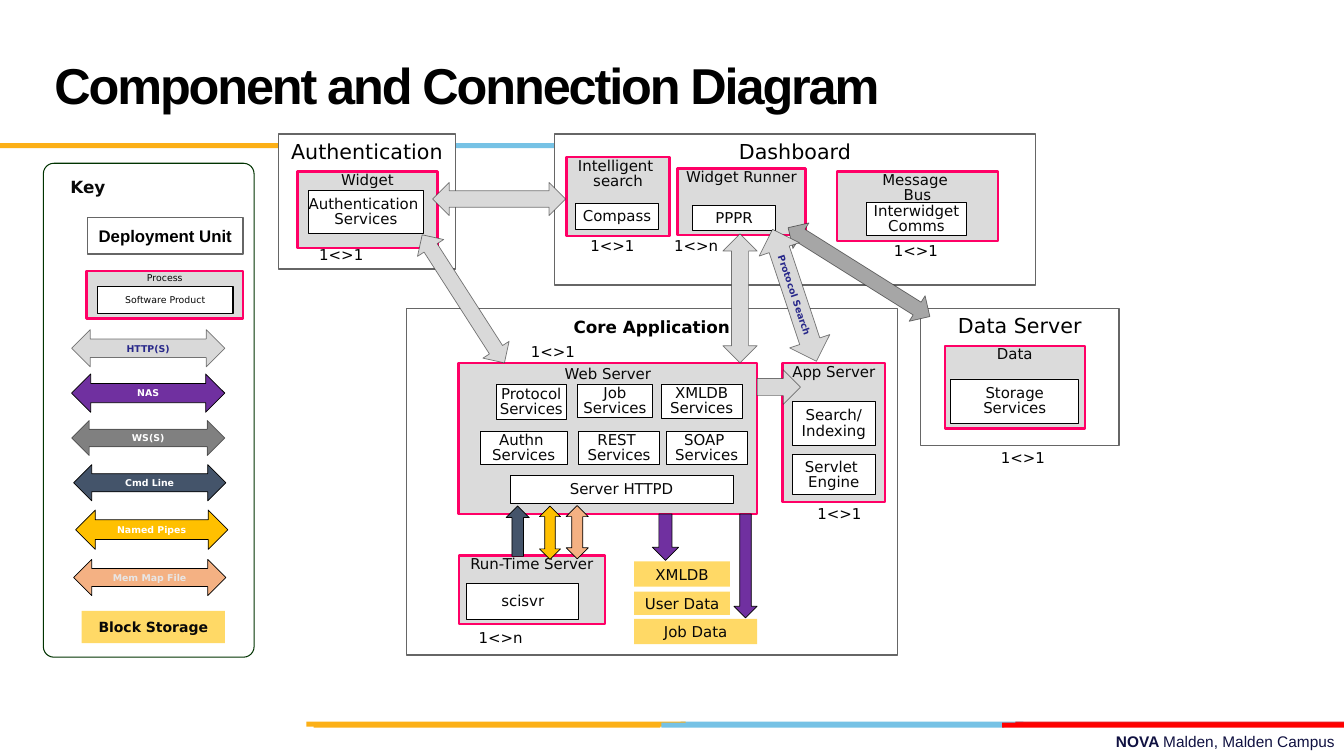
from lxml import etree
from pptx import Presentation
from pptx.dml.color import RGBColor
from pptx.enum.shapes import MSO_SHAPE
from pptx.enum.text import MSO_ANCHOR, PP_ALIGN
from pptx.oxml.ns import qn
from pptx.util import Cm, Pt

RECTANGLE = MSO_SHAPE.RECTANGLE
ROUNDED = MSO_SHAPE.ROUNDED_RECTANGLE
BOTH, DOWN = MSO_SHAPE.LEFT_RIGHT_ARROW, MSO_SHAPE.DOWN_ARROW
UP, RIGHT = MSO_SHAPE.UP_ARROW, MSO_SHAPE.RIGHT_ARROW
TOP, MIDDLE = MSO_ANCHOR.TOP, MSO_ANCHOR.MIDDLE
LEFT_ALIGN, CENTER, RIGHT_ALIGN = PP_ALIGN.LEFT, PP_ALIGN.CENTER, PP_ALIGN.RIGHT

HTTP, NAS, WEB_SERVICE, WEB_SERVICE_LINK = "D9D9D9", "7030A0", "808080", "A6A6A6"
COMMAND, PIPE, MEMORY_MAP = "44546A", "FFC000", "F4B183"
TRANSLUCENT_EDGES = (HTTP, WEB_SERVICE, WEB_SERVICE_LINK)
YELLOW, BLUE, RED = "FCB017", "76C2E5", "FF0000"
BLACK, INK, WHITE, NAVY = "000000", "080808", "FFFFFF", "28288A"


def color(value):
    return RGBColor.from_string(value)


def inches(value):
    return Cm(value * 2.54)


class Diagram:
    """Holds the style and the slide; every box is (left, top, width, height) in inches."""

    font = "DejaVu Sans"
    body_size = 10.7
    small_size = 6.7
    default_insets = (0.1, 0.05, 0.1, 0.05)

    def __init__(self, slide):
        self.slide = slide

    def label(self, shape, text, size, ink=INK, bold=False, align=CENTER, anchor=TOP,
              insets=default_insets, wrap=True, spacing=None, font=None):
        frame = shape.text_frame
        frame.text = text
        frame.word_wrap = wrap
        frame.vertical_anchor = anchor
        (frame.margin_left, frame.margin_top,
         frame.margin_right, frame.margin_bottom) = map(inches, insets)
        for paragraph in frame.paragraphs:
            paragraph.alignment = align
            if spacing:
                paragraph.line_spacing = spacing
            paragraph.font.name = font or self.font
            paragraph.font.size = Pt(size)
            paragraph.font.bold = bold
            paragraph.font.color.rgb = color(ink)
        return frame

    def shape(self, kind, box, fill=None, line=None, width=1.0):
        shape = self.slide.shapes.add_shape(kind, *map(inches, box))
        shape.shadow.inherit = False
        if fill:
            shape.fill.solid()
            shape.fill.fore_color.rgb = color(fill)
        else:
            shape.fill.background()
        if line:
            shape.line.color.rgb = color(line)
            shape.line.width = Pt(width)
        else:
            shape.line.fill.background()
        return shape

    def text(self, box, text, size, **style):
        return self.label(self.slide.shapes.add_textbox(*map(inches, box)), text, size, **style)

    def unit(self, box, text, size=14.7, fill=WHITE, **style):
        self.label(self.shape(RECTANGLE, box, fill, "666666"), text, size, BLACK, **style)

    def process(self, box, text, size=body_size, inset=0.02):
        self.label(self.shape(RECTANGLE, box, "DBDBDB", "FF0066", 1.75), text, size,
                   insets=(0, inset, 0, 0.02), wrap=False, spacing=0.85)

    def product(self, box, text, size=body_size, width=0.5):
        self.label(self.shape(RECTANGLE, box, WHITE, BLACK, width), text, size,
                   anchor=MIDDLE, insets=(0, 0.03, 0, 0.02), wrap=False, spacing=0.85)

    def storage(self, box, text, size=body_size, bold=False):
        self.label(self.shape(RECTANGLE, box, "FFD966"), text, size, bold=bold, anchor=MIDDLE)

    def arrow(self, kind, box, fill, rotation=0, text="", ink=WHITE):
        shape = self.shape(kind, box, fill, BLACK, 0.5)
        shape.rotation = rotation
        if fill in TRANSLUCENT_EDGES:
            edge = shape.line._ln.find(".//" + qn("a:srgbClr"))
            etree.SubElement(edge, qn("a:alpha"), val="50000")
        if text:
            self.label(shape, text, self.small_size, ink, True, anchor=MIDDLE)


presentation = Presentation()
presentation.slide_width, presentation.slide_height = inches(13.33), inches(7.5)
diagram = Diagram(presentation.slides.add_slide(presentation.slide_layouts[6]))

# Footer and colour bars
footer = diagram.text((4.78, 7.21, 8.56, 0.29), "NOVA ", 11, ink="101141",
                      align=RIGHT_ALIGN, font="Arial").paragraphs[0]
footer.runs[0].font.bold = True
footer.add_run().text = "Malden, Malden Campus"
for left, top, width, fill in [
    (6.75, 7.16, 3.4, BLUE), (10.07, 7.16, 3.26, "E31C24"), (3.04, 7.16, 3.76, YELLOW),
    (6.56, 7.17, 3.4, BLUE), (3.11, 7.17, 3.44, YELLOW), (9.94, 7.17, 3.39, RED),
    (3.44, 1.42, 3.4, BLUE), (0, 1.42, 3.44, YELLOW),
]:
    diagram.shape(RECTANGLE, (left, top, width, 0.05), fill)

# Title
title = diagram.text((0.44, 0.17, 9.22, 1.25), "Component and Connection Diagram", 36,
                     ink=BLACK, bold=True, align=LEFT_ALIGN, anchor=MIDDLE,
                     spacing=1.15, font="Arial")
title.paragraphs[0].runs[0]._r.get_or_add_rPr().set("spc", "-150")

# Deployment units
diagram.unit((4.03, 3.06, 4.87, 3.44), "Core Application", 12, None, bold=True,
             insets=(0.1, 0.08, 0.1, 0.05))
for box, text in [
    ((5.5, 1.33, 4.77, 1.5), "Dashboard"),
    ((2.76, 1.33, 1.76, 1.34), "Authentication"),
    ((9.13, 3.06, 1.97, 1.36), "Data Server"),
]:
    diagram.unit(box, text)

# Processes
diagram.process((4.55, 3.6, 2.96, 1.5), "Web Server", inset=0.05)
for box, text in [
    ((7.76, 3.6, 1.02, 1.38), "App Server"),
    ((6.72, 1.67, 1.27, 0.66), "Widget Runner"),
    ((8.3, 1.7, 1.6, 0.69), "Message \nBus"),
    ((2.95, 1.7, 1.39, 0.76), "Widget"),
    ((4.55, 5.51, 1.45, 0.68), "Run-Time Server"),
    ((5.62, 1.56, 1.02, 0.78), "Intelligent \nsearch"),
    ((9.37, 3.43, 1.39, 0.82), "Data"),
]:
    diagram.process(box, text)

# Software products
for box, text in [
    ((5.06, 4.72, 2.21, 0.27), "Server HTTPD"),
    ((4.92, 3.81, 0.7, 0.35), "Protocol\nServices"),
    ((5.73, 3.81, 0.74, 0.33), "Job\nServices"),
    ((6.56, 3.81, 0.8, 0.34), "XMLDB\nServices"),
    ((4.76, 4.28, 0.87, 0.33), "Authn \nServices"),
    ((5.74, 4.28, 0.8, 0.33), "REST \nServices"),
    ((6.61, 4.28, 0.8, 0.33), "SOAP \nServices"),
    ((7.86, 3.98, 0.82, 0.44), "Search/\nIndexing"),
    ((7.86, 4.51, 0.82, 0.4), "Servlet \nEngine"),
    ((6.87, 2.04, 0.82, 0.25), "PPPR"),
    ((8.59, 2.01, 1, 0.33), "Interwidget\nComms"),
    ((3.06, 1.89, 1.14, 0.43), "Authentication \nServices"),
    ((4.63, 5.79, 1.11, 0.35), "scisvr"),
    ((5.71, 2.02, 0.82, 0.26), "Compass"),
    ((9.43, 3.76, 1.27, 0.44), "Storage\nServices"),
]:
    diagram.product(box, text)

# Block storage
diagram.storage((6.29, 5.57, 0.95, 0.25), "XMLDB")
diagram.storage((6.29, 5.87, 0.95, 0.23), "User Data")
diagram.storage((6.29, 6.14, 1.22, 0.25), "Job Data")

# Connections
for kind, box, fill, rotation in [
    (RIGHT, (7.51, 3.67, 0.43, 0.34), HTTP, 0),
    (DOWN, (6.47, 5.1, 0.26, 0.46), NAS, 0),
    (DOWN, (7.28, 5.1, 0.23, 1.03), NAS, 0),
    (BOTH, (3.84, 2.81, 1.51, 0.31), HTTP, 57.3),
    (BOTH, (4.29, 1.81, 1.32, 0.33), HTTP, 0),
    (BOTH, (6.7, 2.79, 1.28, 0.34), HTTP, 90),
    (UP, (5.02, 5.02, 0.23, 0.5), COMMAND, 0),
    (BOTH, (5.19, 5.18, 0.53, 0.21), PIPE, 270),
    (BOTH, (5.46, 5.17, 0.53, 0.22), MEMORY_MAP, 270),
    (BOTH, (7.69, 2.55, 1.66, 0.3), WEB_SERVICE_LINK, 32.1),
]:
    diagram.arrow(kind, box, fill, rotation)
diagram.arrow(BOTH, (7.19, 2.72, 1.38, 0.42), HTTP, 71.6, "Protocol Search", NAVY)

# Multiplicities
for left, top, text in [
    (5.7, 2.3, "1<>1"), (8.71, 2.35, "1<>1"), (6.53, 2.3, "1<>n"), (3.01, 2.39, "1<>1"),
    (5.11, 3.35, "1<>1"), (9.77, 4.4, "1<>1"), (7.95, 4.96, "1<>1"), (4.59, 6.19, "1<>n"),
]:
    diagram.text((left, top, 0.75, 0.28), text, diagram.body_size, ink=BLACK)

# Key
frame = diagram.shape(ROUNDED, (0.43, 1.62, 2.09, 4.9), line="003300", width=0.75)
frame.adjustments[0] = 0.05
diagram.text((0.6, 1.7, 0.9, 0.3), "Key", 12, bold=True, align=LEFT_ALIGN)
diagram.unit((0.87, 2.16, 1.54, 0.36), "Deployment Unit", 12, None, bold=True,
             anchor=MIDDLE, font="Arial")
diagram.process((0.86, 2.69, 1.55, 0.47), "Process", diagram.small_size, 0.03)
diagram.product((0.97, 2.84, 1.34, 0.27), "Software Product", diagram.small_size, 1)
for box, fill, text, ink in [
    ((0.71, 3.27, 1.52, 0.37), HTTP, "HTTP(S)", NAVY),
    ((0.71, 3.71, 1.52, 0.38), NAS, "NAS", WHITE),
    ((0.71, 4.17, 1.52, 0.35), WEB_SERVICE, "WS(S)", WHITE),
    ((0.73, 4.61, 1.51, 0.36), COMMAND, "Cmd Line", WHITE),
    ((0.75, 5.06, 1.51, 0.39), PIPE, "Named Pipes", WHITE),
    ((0.73, 5.55, 1.51, 0.36), MEMORY_MAP, "Mem Map File", "E7E6E6"),
]:
    diagram.arrow(BOTH, box, fill, text=text, ink=ink)
diagram.storage((0.81, 6.06, 1.42, 0.32), "Block Storage", 10, True)

presentation.save("out.pptx")
